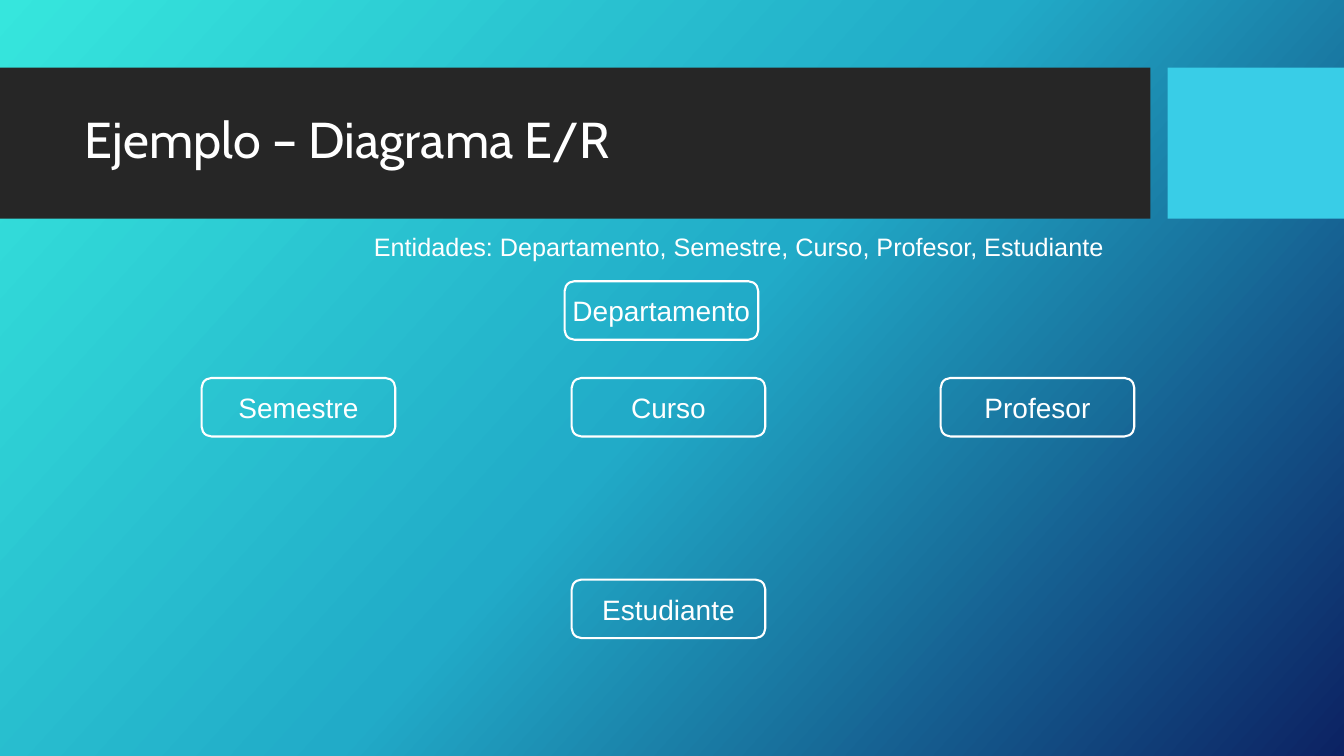
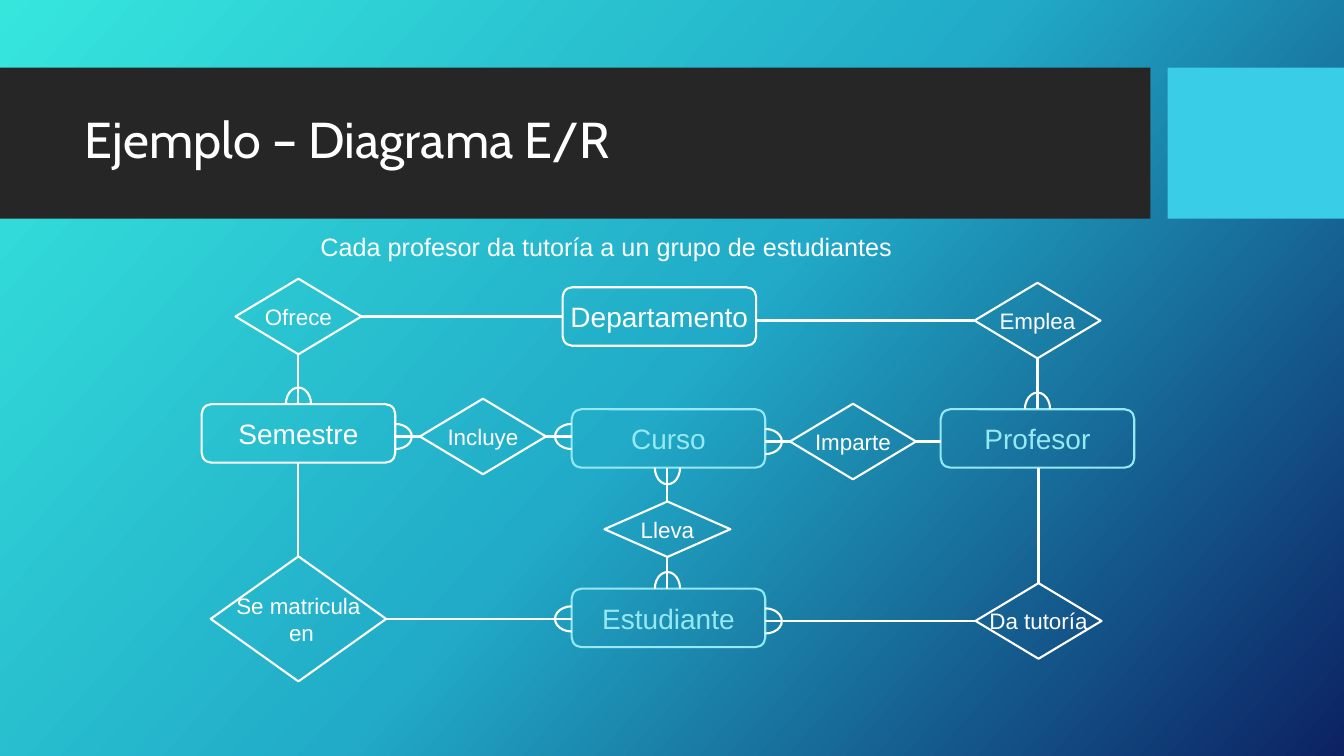
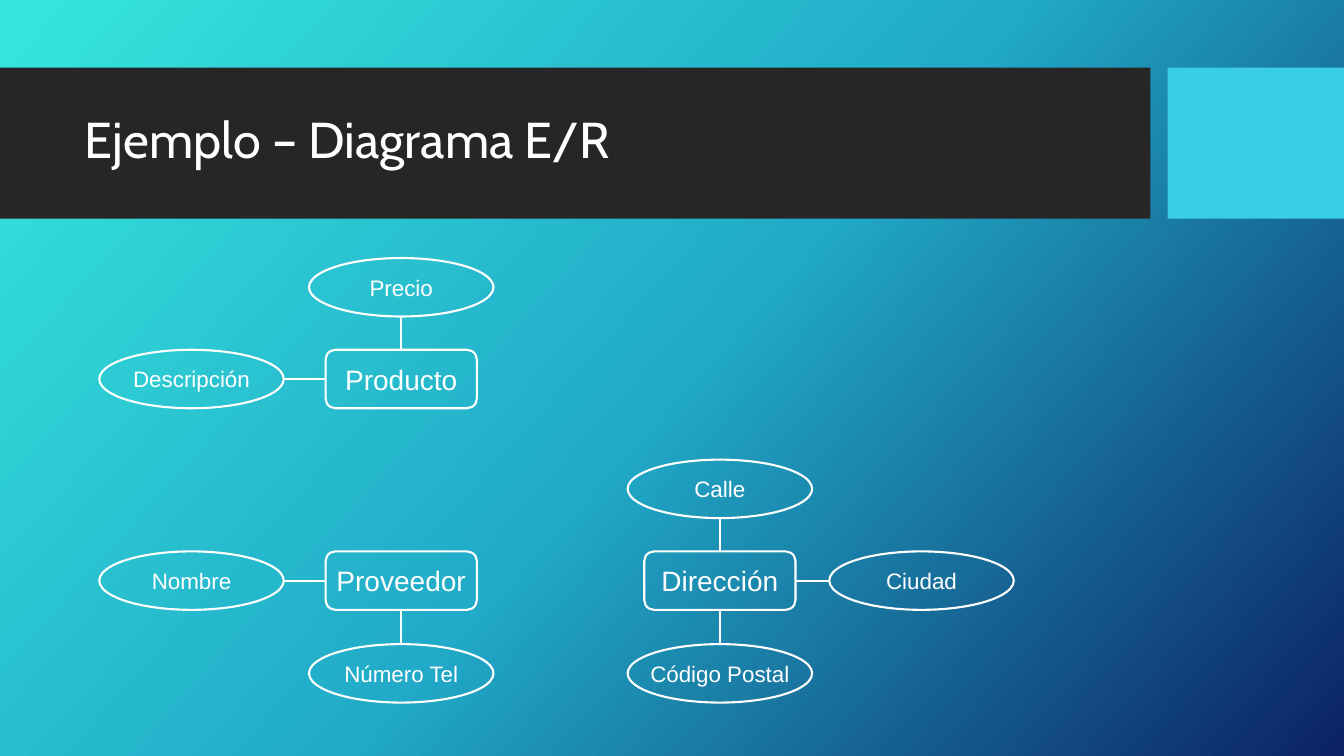
from copy import deepcopy

from pptx import Presentation
from pptx.dml.color import RGBColor
from pptx.enum.shapes import MSO_CONNECTOR, MSO_SHAPE
from pptx.enum.text import MSO_ANCHOR, PP_ALIGN
from pptx.oxml.ns import qn
from pptx.util import Inches, Pt

LEFT, CENTER = PP_ALIGN.LEFT, PP_ALIGN.CENTER
MIDDLE = MSO_ANCHOR.MIDDLE
RECT, ARC = MSO_SHAPE.RECTANGLE, MSO_SHAPE.ARC
STRAIGHT = MSO_CONNECTOR.STRAIGHT

WHITE = RGBColor(0xFF, 0xFF, 0xFF)
PALE = RGBColor(0x95, 0xE9, 0xF4)
DARK = RGBColor(0x26, 0x26, 0x26)
CYAN = RGBColor(0x39, 0xCD, 0xE7)
GRADIENT = [(0, RGBColor(0x36, 0xE6, 0xDD)),
            (0.5, RGBColor(0x21, 0xAB, 0xC8)),
            (1, RGBColor(0x0C, 0x22, 0x63))]
GRADIENT_ANGLE = 360 - 42

TITLE = "Ejemplo – Diagrama E/R"
TITLE_BOX = (0.74, 0.82, 10.51, 1.18)
BANDS = [((0, 0.67, 11.41, 1.5), DARK), ((11.58, 0.67, 1.75, 1.5), CYAN)]
LINE_WIDTH = Pt(1.5)

TITLE_FONT = {"name": "Cabin", "size": Pt(36)}
CAPTION_FONT = {"name": "Arial", "size": Pt(18)}
ENTITY_FONT = {"name": "Arial", "size": Pt(20)}
SMALL_FONT = {"name": "Arial", "size": Pt(16)}

ENTITY = (MSO_SHAPE.ROUNDED_RECTANGLE, 1.92, 0.58, ENTITY_FONT)
SHORT_ENTITY = (MSO_SHAPE.ROUNDED_RECTANGLE, 1.5, 0.58, ENTITY_FONT)
RELATION = (MSO_SHAPE.DIAMOND, 1.25, 0.75, SMALL_FONT)
FLAT_RELATION = (MSO_SHAPE.DIAMOND, 1.25, 0.55, SMALL_FONT)
BIG_RELATION = (MSO_SHAPE.DIAMOND, 1.74, 1.24, SMALL_FONT)
ATTRIBUTE = (MSO_SHAPE.OVAL, 1.83, 0.58, SMALL_FONT)

FOOT_LONG, FOOT_SHORT = 0.33, 0.25
DIRECTIONS = {"right": (1, 0, 180), "down": (0, 1, 270),
              "left": (-1, 0, 0), "up": (0, -1, 90)}

SLIDES = [
    {
        "caption": ("Entidades: Departamento, Semestre, Curso, Profesor, Estudiante", 3.61),
        "nodes": [
            ("Curso", ENTITY, 6.63, 4.04, WHITE),
            ("Semestre", ENTITY, 2.96, 4.04, WHITE),
            ("Departamento", ENTITY, 6.56, 3.08, WHITE),
            ("Estudiante", ENTITY, 6.63, 6.04, WHITE),
            ("Profesor", ENTITY, 10.29, 4.04, WHITE),
        ],
        "links": [],
    },
    {
        "caption": ("Cada profesor da tutoría a un grupo de estudiantes", 3.08),
        "nodes": [
            ("Curso", ENTITY, 6.63, 4.35, PALE),
            ("Semestre", ENTITY, 2.96, 4.3, WHITE),
            ("Departamento", ENTITY, 6.54, 3.14, WHITE),
            ("Estudiante", ENTITY, 6.63, 6.13, PALE),
            ("Profesor", ENTITY, 10.29, 4.35, PALE),
            ("Ofrece", RELATION, 2.96, 3.14, WHITE),
            ("Incluye", RELATION, 4.79, 4.33, WHITE),
            ("Se matricula\n en", BIG_RELATION, 2.96, 6.14, WHITE),
            ("Lleva", FLAT_RELATION, 6.62, 5.25, WHITE),
            ("Imparte", RELATION, 8.46, 4.38, WHITE),
            ("Emplea", RELATION, 10.29, 3.18, WHITE),
            ("Da tutoría", RELATION, 10.3, 6.16, WHITE),
        ],
        "links": [
            ("Ofrece", "right", "Departamento", False),
            ("Ofrece", "down", "Semestre", True),
            ("Incluye", "left", "Semestre", True),
            ("Incluye", "right", "Curso", True),
            ("Se matricula\n en", "up", "Semestre", False),
            ("Se matricula\n en", "right", "Estudiante", True),
            ("Lleva", "up", "Curso", True),
            ("Lleva", "down", "Estudiante", True),
            ("Imparte", "left", "Curso", True),
            ("Imparte", "right", "Profesor", False),
            ("Emplea", "left", "Departamento", False),
            ("Emplea", "down", "Profesor", True),
            ("Da tutoría", "left", "Estudiante", True),
            ("Da tutoría", "up", "Profesor", False),
        ],
    },
    {
        "caption": None,
        "nodes": [
            ("Producto", SHORT_ENTITY, 3.98, 3.76, WHITE),
            ("Proveedor", SHORT_ENTITY, 3.98, 5.76, WHITE),
            ("Dirección", SHORT_ENTITY, 7.14, 5.76, WHITE),
            ("Calle", ATTRIBUTE, 7.14, 4.85, WHITE),
            ("Ciudad", ATTRIBUTE, 9.14, 5.76, WHITE),
            ("Código Postal", ATTRIBUTE, 7.14, 6.68, WHITE),
            ("Nombre", ATTRIBUTE, 1.9, 5.76, WHITE),
            ("Número Tel", ATTRIBUTE, 3.98, 6.68, WHITE),
            ("Precio", ATTRIBUTE, 3.98, 2.85, WHITE),
            ("Descripción", ATTRIBUTE, 1.9, 3.76, WHITE),
        ],
        "links": [
            ("Precio", "down", "Producto", False),
            ("Descripción", "right", "Producto", False),
            ("Nombre", "right", "Proveedor", False),
            ("Número Tel", "up", "Proveedor", False),
            ("Código Postal", "up", "Dirección", False),
            ("Ciudad", "left", "Dirección", False),
            ("Calle", "down", "Dirección", False),
        ],
    },
]


def inches(*values):
    return [Inches(v) for v in values]


def write(tf, text, font, color, align):
    tf.text = text
    for p in tf.paragraphs:
        p.alignment = align
        for r in p.runs:
            for name, value in font.items():
                setattr(r.font, name, value)
            r.font.color.rgb = color


def add_outline(s, kind, cx, cy, w, h, color):
    shape = s.shapes.add_shape(kind, *inches(cx - w / 2, cy - h / 2, w, h))
    shape.shadow.inherit = False
    shape.fill.background()
    shape.line.color.rgb = color
    shape.line.width = LINE_WIDTH
    return shape


def add_node(s, text, style, cx, cy, color):
    kind, w, h, font = style
    tf = add_outline(s, kind, cx, cy, w, h, color).text_frame
    tf.word_wrap = False
    tf.vertical_anchor = MIDDLE
    write(tf, text, font, color, CENTER)
    return cx, cy, w, h


def add_link(s, start, direction, end, has_foot):
    dx, dy, angle = DIRECTIONS[direction]
    x, y, w, h = start
    end_x, end_y, end_w, end_h = end
    x1, y1 = x + dx * w / 2, y + dy * h / 2
    x2 = end_x - dx * end_w / 2 if dx else x
    y2 = end_y - dy * end_h / 2 if dy else y
    line = s.shapes.add_connector(STRAIGHT, *inches(x1, y1, x2, y2))
    line.line.color.rgb = WHITE
    line.line.width = LINE_WIDTH
    sp_pr = line.element.spPr
    sp_pr.append(sp_pr.makeelement(qn("a:effectLst"), {}))
    if has_foot:
        size = (FOOT_LONG, FOOT_SHORT) if dx else (FOOT_SHORT, FOOT_LONG)
        foot = add_outline(s, ARC, x2, y2, *size, WHITE)
        for i, turn in enumerate((-90, 90)):
            foot.adjustments[i] = (angle + turn) % 360 * 0.6


def style_layout(layout, s):
    fill = layout.background.fill
    fill.gradient()
    fill.gradient_angle = GRADIENT_ANGLE
    stop_list = layout.element.find(".//" + qn("a:gsLst"))
    stop_list.append(deepcopy(stop_list[0]))
    for stop, (position, color) in zip(fill.gradient_stops, GRADIENT):
        stop.position = position
        stop.color.rgb = color
    for i, (box, color) in enumerate(BANDS):
        band = s.shapes.add_shape(RECT, *inches(*box))
        band.shadow.inherit = False
        band.fill.solid()
        band.fill.fore_color.rgb = color
        band.line.fill.background()
        layout.shapes.element.insert(2 + i, band.element)
    title = layout.placeholders[0]
    title.left, title.top, title.width, title.height = inches(*TITLE_BOX)


def add_title(s):
    tf = s.shapes.title.text_frame
    tf.vertical_anchor = MIDDLE
    write(tf, TITLE, TITLE_FONT, WHITE, LEFT)
    tf.paragraphs[0].line_spacing = 0.9


def add_caption(s, text, x):
    tf = s.shapes.add_textbox(*inches(x, 2.25, 8.67, 0.4)).text_frame
    tf.word_wrap = True
    write(tf, text, CAPTION_FONT, WHITE, LEFT)


def main():
    prs = Presentation()
    prs.slide_width, prs.slide_height = inches(13.33, 7.5)
    layout = prs.slide_layouts[5]
    slides = [prs.slides.add_slide(layout) for _ in SLIDES]
    style_layout(layout, slides[0])
    for s, content in zip(slides, SLIDES):
        add_title(s)
        if content["caption"]:
            add_caption(s, *content["caption"])
        nodes = {node[0]: add_node(s, *node) for node in content["nodes"]}
        for start, direction, end, has_foot in content["links"]:
            add_link(s, nodes[start], direction, nodes[end], has_foot)
    prs.save("out.pptx")


if __name__ == "__main__":
    main()
